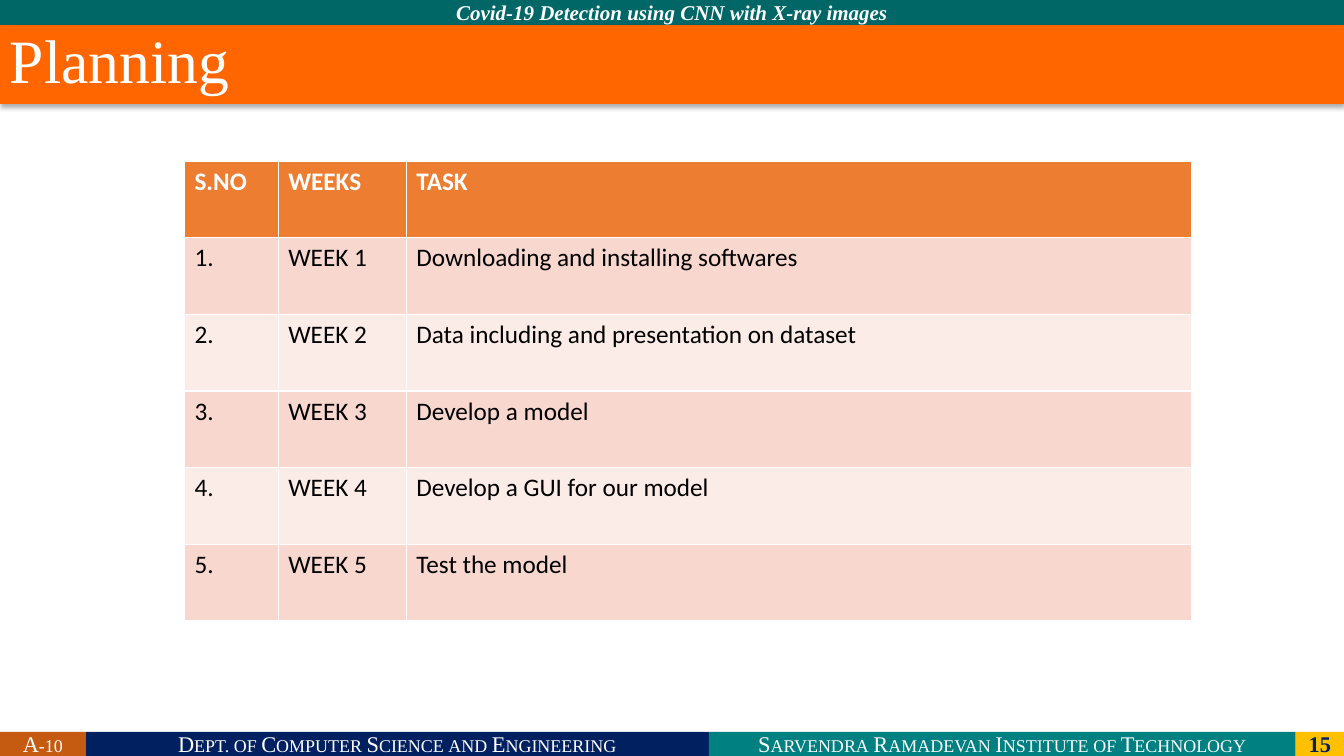
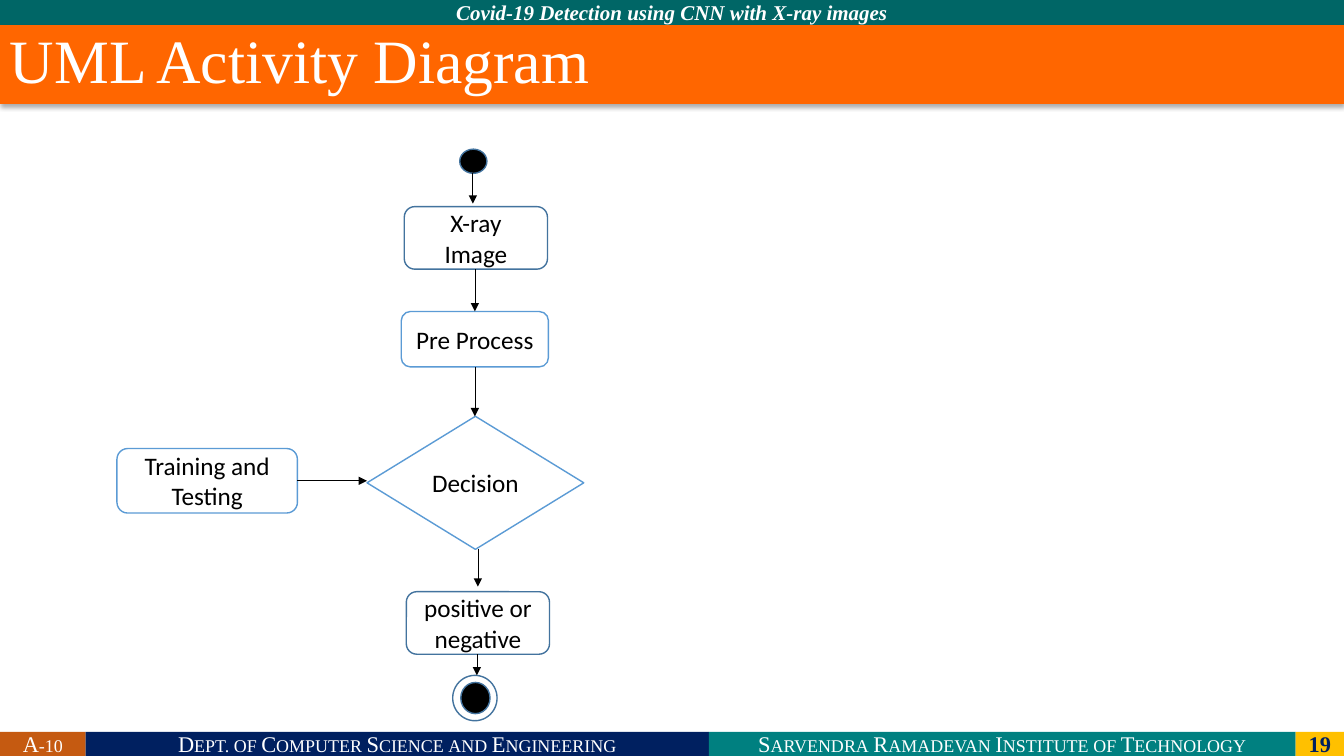
from lxml.etree import SubElement as Sub
from pptx import Presentation
from pptx.dml.color import RGBColor as RGB
from pptx.enum.shapes import MSO_CONNECTOR as Link, MSO_SHAPE as Kind
from pptx.enum.text import MSO_ANCHOR as Anchor, PP_ALIGN as Align
from pptx.oxml.ns import qn
from pptx.util import Inches, Pt

# Shared look
WIDE, HIGH = 13.33, 7.5
SERIF, SANS = "Times New Roman", "Calibri"
WHITE, BLACK, NAVY = "FFFFFF", "000000", "002060"
BLUE, STEEL = "5B9BD5", "43739E"
TOPIC = "Covid-19 Detection using CNN with X-ray images"
TOP, BAND, FOOT = 0.25, 0.78, 0.24
FOOTER = [  # text, width, fill
    ("A-10", 0.85, "C55A11"),
    ("Dept. of Computer Science and Engineering", 6.18, NAVY),
    ("Sarvendra Ramadevan Institute of Technology", 5.82, "008080"),
]

# Planning table
HEAD = ("S.NO", "WEEKS", "TASK")
TASKS = [
    "Downloading and installing softwares",
    "Data including and presentation on dataset",
    "Develop a model",
    "Develop a GUI for our model",
    "Test the model",
]
COLS, ROW = (0.93, 1.27, 7.79), 0.76
FILLS = ("FCECE8", "F8D7CE")

# Activity diagram: kind, box, fill, line, text
BOX, OVAL = Kind.ROUNDED_RECTANGLE, Kind.OVAL
NODES = {
    "start": (OVAL, (4.56, 1.48, 0.27, 0.24), BLACK, STEEL, ""),
    "image": (BOX, (4.01, 2.05, 1.42, 0.62), WHITE, STEEL, "X-ray Image"),
    "prep": (BOX, (3.98, 3.09, 1.46, 0.55), WHITE, BLUE, "Pre Process"),
    "train": (BOX, (1.16, 4.45, 1.79, 0.64), WHITE, BLUE, "Training and Testing"),
    "choice": (Kind.DIAMOND, (3.64, 4.13, 2.15, 1.32), WHITE, BLUE, "Decision"),
    "result": (BOX, (4.03, 5.87, 1.42, 0.62), WHITE, STEEL, "positive or negative"),
    "end": (OVAL, (4.49, 6.7, 0.44, 0.45), WHITE, STEEL, ""),
    "core": (OVAL, (4.57, 6.77, 0.29, 0.31), BLACK, STEEL, ""),
}
DOWN = [  # from, to, x, gap before the target
    ("start", "image", 4.69, 0.03),
    ("image", "prep", 4.71, 0),
    ("prep", "choice", 4.71, 0),
    ("choice", "result", 4.74, 0.05),
    ("result", "end", 4.73, 0),
]
SIDE = 4.77


def color(code):
    return RGB.from_string(code)


def paint(part, code):
    part.fill.solid()
    part.fill.fore_color.rgb = color(code)


def write(frame, text, size, face, code, align=Align.CENTER, bold=False):
    frame.text = text
    para = frame.paragraphs[0]
    para.alignment = align
    font = para.font
    font.size, font.name, font.bold = Pt(size), face, bold
    font.color.rgb = color(code)
    return para


def draw(slide, kind, box, fill, line=None):
    shape = slide.shapes.add_shape(kind, *map(Inches, box))
    shape.shadow.inherit = False
    paint(shape, fill)
    if line:
        shape.line.color.rgb = color(line)
        shape.line.width = Pt(1)
    else:
        shape.line.fill.background()
    return shape


def band(slide, box, fill, text, size, code=WHITE, bold=False):
    shape = draw(slide, Kind.RECTANGLE, box, fill)
    frame = shape.text_frame
    frame.margin_top = frame.margin_bottom = 0
    return write(frame, text, size, SERIF, code, bold=bold)


def arrow(slide, *ends):
    line = slide.shapes.add_connector(Link.STRAIGHT, *map(Inches, ends))
    line.line.color.rgb = color(BLACK)
    line.line.width = Pt(0.5)
    Sub(line.line._get_or_add_ln(), qn("a:tailEnd"), type="triangle")
    Sub(line._element.spPr, qn("a:effectLst"))


def cast(shape):
    """Soft shadow straight below the title band."""
    glow = shape._element.spPr.find(qn("a:effectLst"))
    drop = Sub(glow, qn("a:outerShdw"), blurRad=str(Pt(3.5)),
               dist=str(Pt(2.2)), dir="5400000", rotWithShape="0")
    tint = Sub(drop, qn("a:srgbClr"), val=BLACK)
    Sub(tint, qn("a:alpha"), val="32000")


def start(deck, title, page):
    """Slide with topic bar, footer and title band."""
    slide = deck.slides.add_slide(deck.slide_layouts[6])
    left, top = 0, HIGH - FOOT
    for text, width, fill in FOOTER:
        para = band(slide, (left, top, width, FOOT), fill, text, 16)
        para.font._element.set("cap", "small")
        left += width
    band(slide, (left, top, WIDE - left, FOOT), "FFC000", str(page), 16, NAVY, True)
    para = band(slide, (0, 0, WIDE, TOP), "006666", TOPIC, 15, bold=True)
    para.font.italic = True

    shape = draw(slide, Kind.RECTANGLE, (0, TOP, WIDE, BAND), "FF6600")
    cast(shape)
    shape.text_frame.vertical_anchor = Anchor.TOP
    para = write(shape.text_frame, title, 44, SERIF, WHITE, Align.LEFT)
    para.line_spacing = 0.9
    return slide


def plan(slide):
    rows = [HEAD] + [(f"{n}.", f"WEEK {n}", task) for n, task in enumerate(TASKS, 1)]
    size = (sum(COLS), ROW * len(rows))
    table = slide.shapes.add_table(
        len(rows), len(COLS), *map(Inches, (1.83, 1.6, *size))).table
    for col, width in zip(table.columns, COLS):
        col.width = Inches(width)
    for r, row in enumerate(rows):
        table.rows[r].height = Inches(ROW)
        for c, text in enumerate(row):
            cell = table.cell(r, c)
            paint(cell, FILLS[r % 2] if r else "ED7D31")
            write(cell.text_frame, text, 18, SANS, BLACK if r else WHITE,
                  Align.LEFT, bold=not r)


def flow(slide):
    for kind, box, fill, line, text in NODES.values():
        shape = draw(slide, kind, box, fill, line)
        if text:
            write(shape.text_frame, text, 18, SANS, BLACK)
    for tail, tip, x, gap in DOWN:
        _, top, _, height = NODES[tail][1]
        arrow(slide, x, top + height, x, NODES[tip][1][1] - gap)
    left, _, width, _ = NODES["train"][1]
    arrow(slide, left + width, SIDE, NODES["choice"][1][0], SIDE)


def main():
    deck = Presentation()
    deck.slide_width, deck.slide_height = Inches(WIDE), Inches(HIGH)
    plan(start(deck, "Planning", 15))
    flow(start(deck, "UML Activity Diagram", 19))
    deck.save("out.pptx")


if __name__ == "__main__":
    main()
